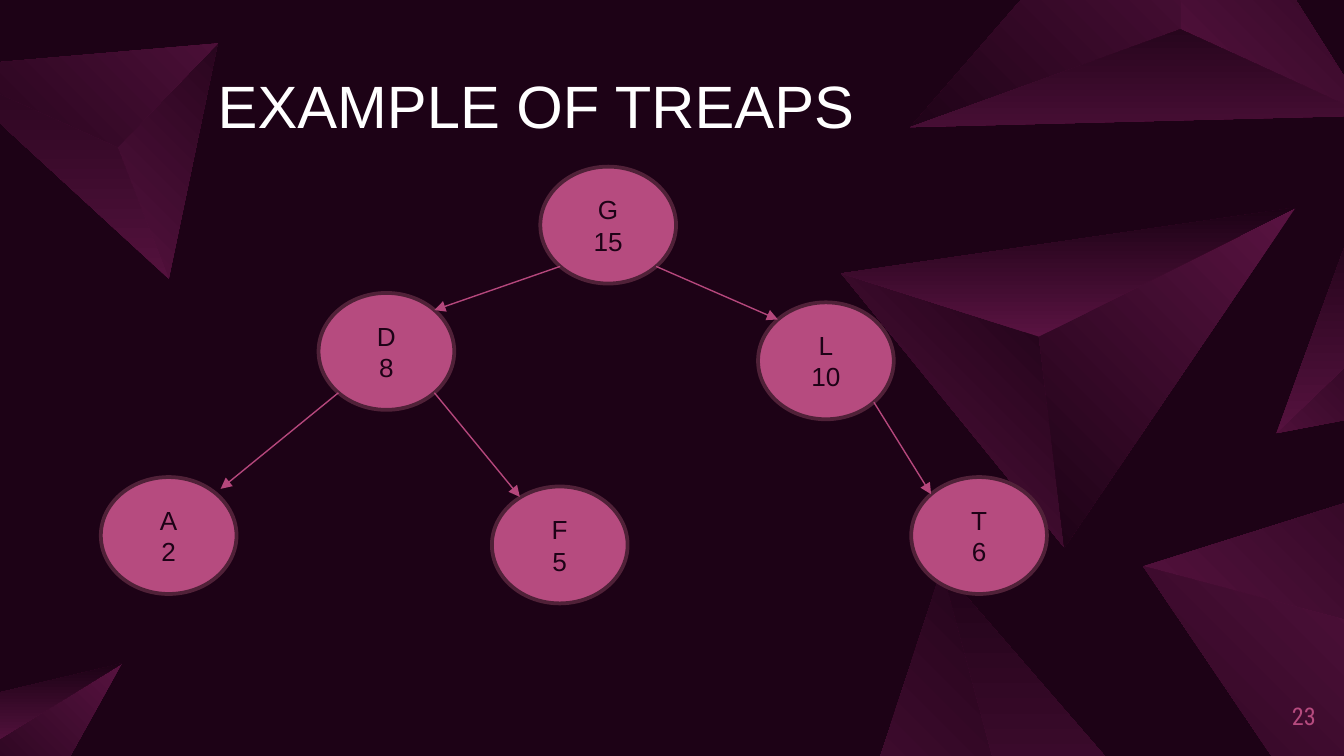
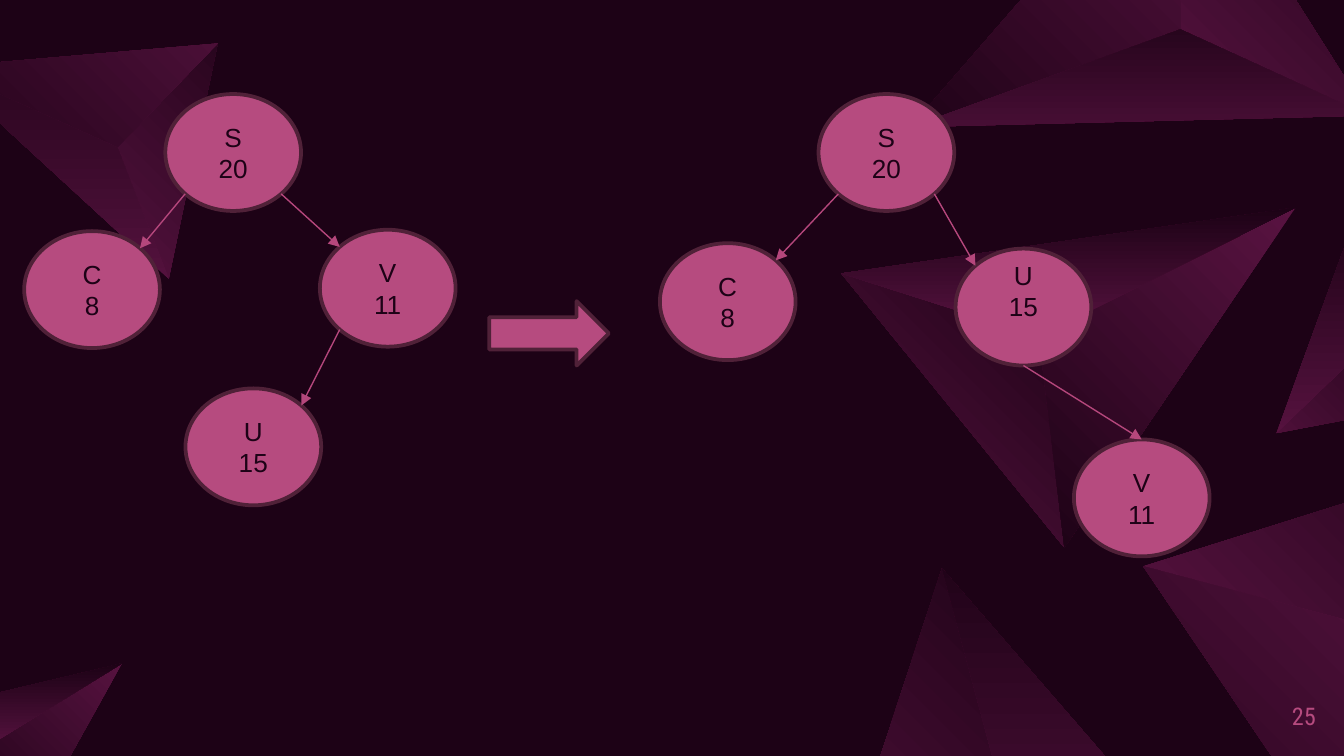
import math

from lxml import etree
from pptx import Presentation
from pptx import util as u
from pptx.dml import color
from pptx.enum import shapes, text
from pptx.oxml import ns

COLORS = {
    "night": "1D0216",
    "plum": "591341",
    "pink": "B64B7F",
    "edge": "B5477C",
    "rim": "502138",
    "white": "FFFFFF",
}
FORMATS = {
    "title": {"size": u.Pt(32), "name": "Arial"},
    "node": {"size": u.Pt(14), "name": "Arial"},
    "number": {"size": u.Pt(13), "name": "Roboto Condensed"},
    "title_frame": {"word_wrap": False, "auto_size": text.MSO_AUTO_SIZE.SHAPE_TO_FIT_TEXT,
                    "vertical_anchor": text.MSO_ANCHOR.TOP},
    "number_frame": {"word_wrap": True, "vertical_anchor": text.MSO_ANCHOR.MIDDLE,
                     "margin_left": 0, "margin_top": 0, "margin_right": 0, "margin_bottom": 0},
    "node_frame": {"word_wrap": True, "vertical_anchor": text.MSO_ANCHOR.MIDDLE},
}
NODE_WIDTH, NODE_HEIGHT = 1.01, 0.87
GEM_WIDTH, GEM_HEIGHT = 3.38, 2.53
GEM_POINTS = {"left": (0, 0.49), "bottom": (1.66, 2.53), "peak": (1.47, 0.96), "right": (3.38, 0)}
GEM_FACETS = [
    (("left", "bottom", "peak"), 45),
    (("bottom", "right", "peak"), 225),
    (("left", "peak", "right"), 90),
]
GEMS = [
    (9.67, 4.71, 1, 111.7),
    (0.94, 0.85, 0.68, 230.9),
    (7.95, 2.81, 1, 0),
    (8.6, -0.11, 1, 186.8),
    (10.27, 2.64, 0.52, 298.3),
    (7.27, 6.07, 1, 57.3),
    (0.09, 5.67, 0.52, 354.9),
]
TREAP = {
    "nodes": {"A": (2, 0, 2.31), "F": (5, 2.91, 2.38), "T": (6, 6.03, 2.31),
              "D": (8, 1.62, 0.94), "L": (10, 4.89, 1.01), "G": (15, 3.27, 0)},
    "edges": [("G", "D"), ("D", "A", 0.03, -0.04), ("D", "F", 0.06, -0.05), ("L", "T"), ("G", "L")],
}
BEFORE_ROTATION = {
    "nodes": {"S": (20, 1.05, 0), "V": (11, 2.2, 1.01), "C": (8, 0, 1.02), "U": (15, 1.2, 2.19)},
    "edges": [("S", "C"), ("S", "V"), ("V", "U")],
}
AFTER_ROTATION = {
    "nodes": {"S": (20, 1.18, 0), "U": (15, 2.2, 1.15), "C": (8, 0, 1.11), "V": (11, 3.08, 2.57)},
    "edges": [("S", "C"), ("S", "U")],
    "upright_edges": [("U", "V")],
    "raised": ["U"],
}


def rgb(name):
    """Return the named colour."""
    return color.RGBColor.from_string(COLORS[name])


def inches(*lengths):
    """Convert numbers to lengths."""
    return [u.Inches(length) for length in lengths]


def apply(target, values):
    """Set every attribute in a format dict."""
    for name, value in values.items():
        setattr(target, name, value)


def write(shape, lines, kind, color_name, alignment):
    """Write one formatted paragraph per line."""
    frame = shape.text_frame
    apply(frame, FORMATS[kind + "_frame"])
    frame.text = "\n".join(lines)
    for paragraph in frame.paragraphs:
        paragraph.alignment = alignment
        for run in paragraph.runs:
            apply(run.font, FORMATS[kind])
            run.font.color.rgb = rgb(color_name)


def turn(x, y, degrees):
    """Rotate an offset clockwise."""
    angle = math.radians(degrees)
    return (x * math.cos(angle) - y * math.sin(angle),
            x * math.sin(angle) + y * math.cos(angle))


def is_visible(points, presentation):
    """Tell whether the bounds of the points touch the slide."""
    across, down = zip(*points)
    return (max(across) > 0 and min(across) < presentation.slide_width.inches
            and max(down) > 0 and min(down) < presentation.slide_height.inches)


def fill_facet(facet, angle):
    """Fill a facet with a gradient that stays fixed when the facet turns."""
    facet.fill.gradient()
    facet.fill.gradient_angle = angle
    facet.element.spPr.find(ns.qn("a:gradFill")).set("rotWithShape", "0")
    for stop, position, name in zip(facet.fill.gradient_stops, (0, 1), ("plum", "night")):
        stop.position = position
        stop.color.rgb = rgb(name)


def draw_gem(presentation, slide, center_x, center_y, scale, rotation):
    """Return the visible facets of one rotated gem."""
    facets = []
    for corners, angle in GEM_FACETS:
        offsets = [((GEM_POINTS[corner][0] - GEM_WIDTH / 2) * scale,
                    (GEM_POINTS[corner][1] - GEM_HEIGHT / 2) * scale) for corner in corners]
        turned = [turn(x, y, rotation) for x, y in offsets]
        if not is_visible([(center_x + x, center_y + y) for x, y in turned], presentation):
            continue
        middle = [(min(axis) + max(axis)) / 2 for axis in zip(*offsets)]
        shift_x, shift_y = turn(*middle, rotation)
        points = [inches(center_x + shift_x + x - middle[0], center_y + shift_y + y - middle[1])
                  for x, y in offsets]
        builder = slide.shapes.build_freeform(*points[0])
        builder.add_line_segments(points[1:], close=True)
        facet = builder.convert_to_shape()
        facet.rotation = rotation
        facet.shadow.inherit = False
        facet.line.fill.background()
        fill_facet(facet, angle)
        facets.append(facet)
    return facets


def decorate_master(presentation, slide):
    """Give the slide master its background and gems."""
    master = presentation.slide_master
    master.background.fill.solid()
    master.background.fill.fore_color.rgb = rgb("night")
    facets = [facet for gem in GEMS for facet in draw_gem(presentation, slide, *gem)]
    for index, facet in enumerate(facets):
        facet.element.nvSpPr.cNvPr.set("id", str(100 + index))
        master.shapes.element.insert(2 + index, facet.element)


def add_solid(slide, preset, left, top, width, height):
    """Add a pink preset shape with a dark rim."""
    shape = slide.shapes.add_shape(preset, *inches(left, top, width, height))
    shape.shadow.inherit = False
    shape.fill.solid()
    shape.fill.fore_color.rgb = rgb("pink")
    shape.line.color.rgb = rgb("rim")
    shape.line.width = u.Pt(2)
    return shape


def add_edge(slide, start, end):
    """Add a thin arrow between two points."""
    connector = slide.shapes.add_connector(shapes.MSO_CONNECTOR.STRAIGHT, *inches(*start, *end))
    connector.line.color.rgb = rgb("edge")
    connector.line.width = u.Pt(0.75)
    etree.SubElement(connector.get_or_add_ln(), ns.qn("a:tailEnd"), type="triangle")
    etree.SubElement(connector.element.spPr, ns.qn("a:effectLst"))


def draw_tree(slide, left, top, nodes, edges, upright_edges=(), raised=()):
    """Draw a treap whose box starts at left, top."""
    centers = {}
    for key, (priority, x, y) in nodes.items():
        node = add_solid(slide, shapes.MSO_SHAPE.OVAL, left + x, top + y, NODE_WIDTH, NODE_HEIGHT)
        write(node, [key, str(priority)], "node", "night", text.PP_ALIGN.CENTER)
        if key in raised:
            node.text_frame.margin_bottom = u.Inches(0.29)
        centers[key] = (left + x + NODE_WIDTH / 2, top + y + NODE_HEIGHT / 2)
    reach_x, reach_y = (size / 2 * math.sqrt(0.5) for size in (NODE_WIDTH, NODE_HEIGHT))
    for parent, child, *nudge in edges:
        (x1, y1), (x2, y2) = centers[parent], centers[child]
        reach = math.copysign(reach_x, x2 - x1)
        nudge_x, nudge_y = nudge or (0, 0)
        add_edge(slide, (x1 + reach, y1 + reach_y), (x2 - reach + nudge_x, y2 - reach_y + nudge_y))
    for parent, child in upright_edges:
        (x1, y1), (x2, y2) = centers[parent], centers[child]
        add_edge(slide, (x1, y1 + NODE_HEIGHT / 2), (x2, y2 - NODE_HEIGHT / 2))


def add_number(slide, number):
    """Add the page number in the lower right corner."""
    box = slide.shapes.add_textbox(*inches(9.35, 5.11, 0.44, 0.43))
    write(box, [str(number)], "number", "pink", text.PP_ALIGN.RIGHT)


def build_example(slide):
    """Fill the slide that shows a sample treap."""
    add_number(slide, 23)
    draw_tree(slide, 0.75, 1.24, **TREAP)
    title = slide.shapes.title
    apply(title, dict(zip(("left", "top", "width", "height"), inches(1.52, 0.46, 4.99, 0.64))))
    write(title, ["EXAMPLE OF TREAPS"], "title", "white", text.PP_ALIGN.LEFT)


def build_rotation(slide):
    """Fill the slide that shows a tree before and after rotation."""
    add_number(slide, 25)
    draw_tree(slide, 0.18, 0.7, **BEFORE_ROTATION)
    draw_tree(slide, 4.91, 0.7, **AFTER_ROTATION)
    add_solid(slide, shapes.MSO_SHAPE.RIGHT_ARROW, 3.64, 2.24, 0.89, 0.48)


def main():
    """Build and save the presentation."""
    presentation = Presentation()
    presentation.slide_width = u.Inches(10)
    presentation.slide_height = u.Inches(10 * 9 / 16)
    title_only, blank = presentation.slide_layouts[5], presentation.slide_layouts[6]
    example = presentation.slides.add_slide(title_only)
    decorate_master(presentation, example)
    build_example(example)
    build_rotation(presentation.slides.add_slide(blank))
    presentation.save("out.pptx")


if __name__ == "__main__":
    main()
